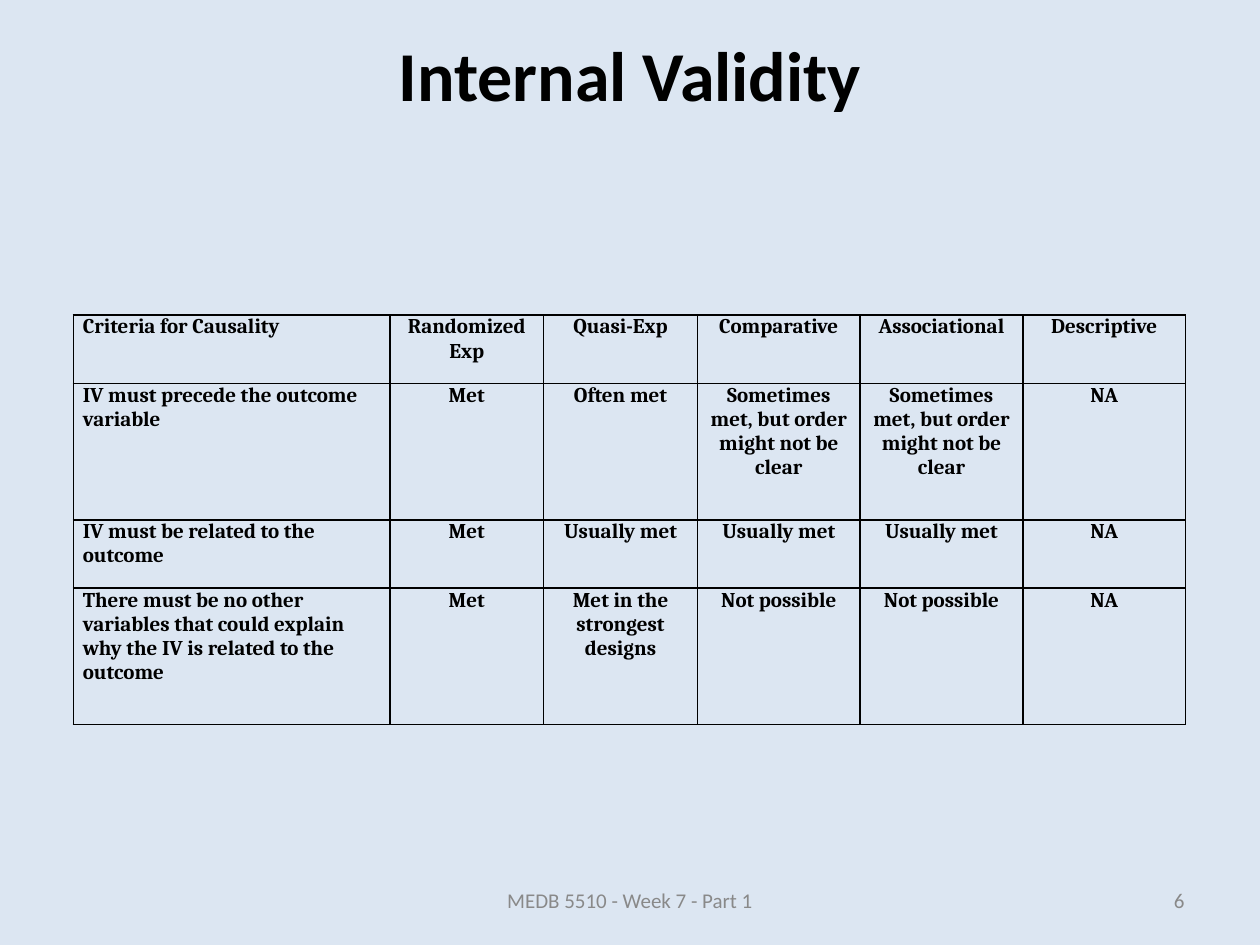
from lxml.etree import SubElement as Sub
from pptx import Presentation
from pptx.dml.color import RGBColor
from pptx.enum.text import MSO_ANCHOR as Anchor, PP_ALIGN as Align
from pptx.oxml.ns import qn
from pptx.util import Cm, Pt


def paint(color, code):
    color.rgb = RGBColor.from_string(code)


def write(frame, text, align, code, form):
    frame.word_wrap = True
    para = frame.paragraphs[0]
    para.alignment = align
    run = para.add_run()
    run.text = text
    for name, value in form.items():
        setattr(run.font, name, value)
    paint(run.font.color, code)


deck = Presentation()
deck.slide_width, deck.slide_height = Cm(25.4), Cm(19.05)
slide = deck.slides.add_slide(deck.slide_layouts[6])
back = slide.background.fill
back.solid()
paint(back.fore_color, "DCE6F2")

head = {"name": "Calibri", "size": Pt(40), "bold": True}
body = {"name": "Cambria", "size": Pt(12), "bold": True}
foot = {"name": "Calibri", "size": Pt(12)}

# Title, page number and footer
boxes = [
    ("Internal Validity", (1.27, 0, 22.86, 2.97), Align.CENTER, "000000", head),
    ("6", (18.2, 17.65, 5.93, 1.01), Align.RIGHT, "898989", foot),
    ("MEDB 5510 - Week 7 - Part 1", (8.68, 17.65, 8.04, 1.01),
     Align.CENTER, "898989", foot),
]
for text, place, align, code, form in boxes:
    frame = slide.shapes.add_textbox(*map(Cm, place)).text_frame
    frame.vertical_anchor = Anchor.MIDDLE
    write(frame, text, align, code, form)

# Criteria table
rows = [
    ["Criteria for Causality", "Randomized Exp", "Quasi-Exp",
     "Comparative", "Associational", "Descriptive"],
    ["IV must precede the outcome variable", "Met", "Often met",
     "Sometimes met, but order might not be clear",
     "Sometimes met, but order might not be clear", "NA"],
    ["IV must be related to the outcome", "Met", "Usually met",
     "Usually met", "Usually met", "NA"],
    ["There must be no other variables that could explain why the IV "
     "is related to the outcome", "Met", "Met in the strongest designs",
     "Not possible", "Not possible", "NA"],
]
wide = [6.38, 3.1, 3.1, 3.28, 3.28, 3.28]
high = [1.38, 2.75, 1.38, 2.75]
inset = {"margin_left": Cm(0.19), "margin_right": Cm(0.19),
         "margin_top": 0, "margin_bottom": 0}

table = slide.shapes.add_table(
    len(rows), len(wide), Cm(1.48), Cm(6.35),
    Cm(sum(wide)), Cm(sum(high))).table
table.first_row = table.horz_banding = False
for col, size in zip(table.columns, wide):
    col.width = Cm(size)
for row, size in zip(table.rows, high):
    row.height = Cm(size)

for r, row in enumerate(rows):
    for c, text in enumerate(row):
        cell = table.cell(r, c)
        for name, value in inset.items():
            setattr(cell, name, value)
        write(cell.text_frame, text, Align.CENTER if c else Align.LEFT,
              "000000", body)
        # Borders come before the fill in the cell's XML
        props = cell._tc.get_or_add_tcPr()
        for side in "LRTB":
            line = Sub(props, qn(f"a:ln{side}"), w=str(Pt(1)))
            solid = Sub(line, qn("a:solidFill"))
            Sub(solid, qn("a:srgbClr"), val="000000")
        cell.fill.background()

deck.save("out.pptx")
